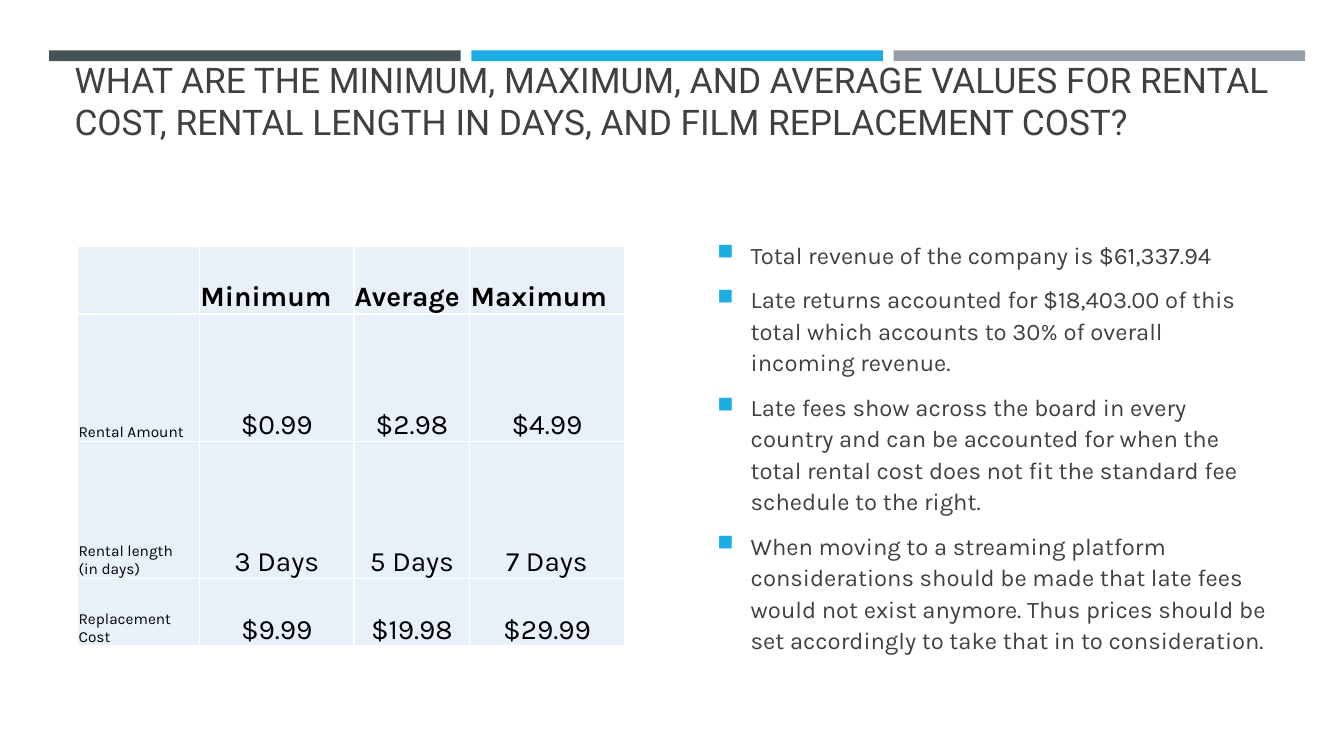
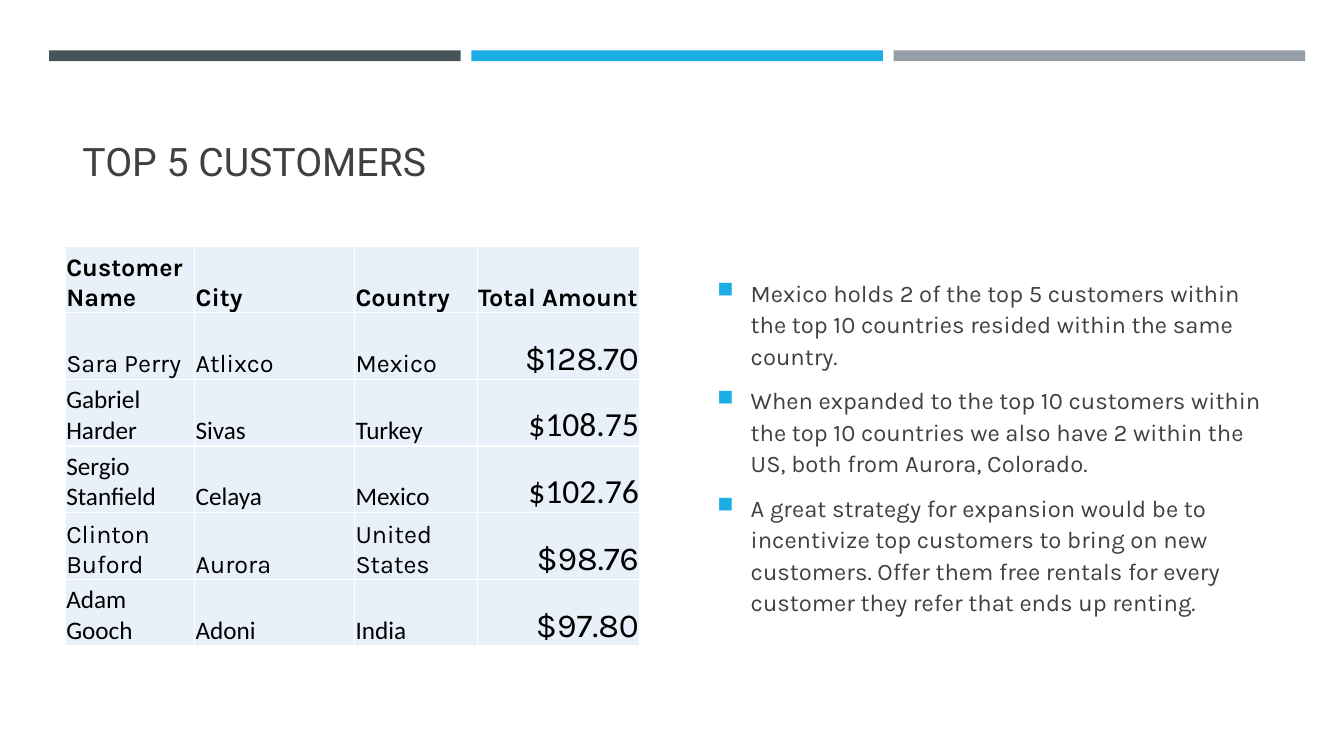
import itertools
from dataclasses import dataclass

import lxml.etree
import pptx
import pptx.dml.color
import pptx.enum.shapes
import pptx.enum.text
import pptx.oxml
import pptx.oxml.ns
import pptx.util

Cm = pptx.util.Cm
Pt = pptx.util.Pt
Align = pptx.enum.text.PP_ALIGN
Anchor = pptx.enum.text.MSO_ANCHOR


@dataclass(frozen=True)
class Theme:
    bars: tuple[str, ...] = ("465359", "1CADE4", "969FA7")
    accent: str = "1CADE4"
    text: str = "404040"
    ink: str = "000000"
    cell: str = "E8F1FA"
    rule: str = "FFFFFF"
    head: str = "Roboto"
    body: str = "Karla"
    plain: str = "Calibri"
    point: float = 17


@dataclass(frozen=True)
class Look:
    """Size and alignment of the cells in one column."""
    size: float
    align: Align = Align.LEFT


@dataclass(frozen=True)
class Grid:
    left: float
    cols: tuple[float, ...]
    rows: tuple[float, ...]
    head: float
    looks: tuple[Look, ...]
    cells: tuple[tuple[str, ...], ...]
    plain: frozenset[tuple[int, int]] = frozenset()


@dataclass(frozen=True)
class Page:
    title: str
    size: float
    left: float
    top: float
    grid: Grid
    points: tuple[str, ...]


THEME = Theme()
TOP = 6.2
HIGH = 10.08

PAGES = (
    Page(
        "WHAT ARE THE MINIMUM, MAXIMUM, AND AVERAGE VALUES FOR RENTAL COST, "
        "RENTAL LENGTH IN DAYS, AND FILM REPLACEMENT COST?",
        25.2, 1.63, 0.98,
        Grid(
            1.96, (3.07, 3.89, 2.92, 3.89), (1.71, 3.22, 3.44, 1.71), 20,
            (Look(11),) + (Look(20, Align.CENTER),) * 3,
            (
                ("", "Minimum", "Average", "Maximum"),
                ("Rental Amount", "$0.99", "$2.98", "$4.99"),
                ("Rental length\n(in days)", "3 Days", "5 Days", "7 Days"),
                ("Replacement Cost", "$9.99", "$19.98", "$29.99"),
            ),
        ),
        (
            "Total revenue of the company is $61,337.94",
            "Late returns accounted for $18,403.00 of this total which "
            "accounts to 30% of overall incoming revenue.",
            "Late fees show across the board in every country and can be "
            "accounted for when the total rental cost does not fit the "
            "standard fee schedule to the right.",
            "When moving to a streaming platform considerations should be "
            "made that late fees would not exist anymore. Thus prices should "
            "be set accordingly to take that in to consideration.",
        ),
    ),
    Page(
        "TOP 5 CUSTOMERS", 28, 1.83, 2.03,
        Grid(
            1.65, (3.26, 4.03, 3.09, 4.09), (HIGH / 6,) * 6, 18,
            (Look(18),) * 3 + (Look(24, Align.RIGHT),),
            (
                ("Customer Name", "City", "Country", "Total Amount"),
                ("Sara Perry", "Atlixco", "Mexico", "$128.70"),
                ("Gabriel Harder", "Sivas", "Turkey", "$108.75"),
                ("Sergio Stanfield", "Celaya", "Mexico", "$102.76"),
                ("Clinton Buford", "Aurora", "United States", "$98.76"),
                ("Adam Gooch", "Adoni", "India", "$97.80"),
            ),
            frozenset(itertools.product((2, 3), range(4)))
            | frozenset(itertools.product((5,), range(3))),
        ),
        (
            "Mexico holds 2 of the top 5 customers within the top 10 "
            "countries resided within the same country.",
            "When expanded to the top 10 customers within the top 10 "
            "countries we also have 2 within the US, both from Aurora, "
            "Colorado.",
            "A great strategy for expansion would be to incentivize top "
            "customers to bring on new customers. Offer them free rentals "
            "for every customer they refer that ends up renting.",
        ),
    ),
)


def tint(code: str) -> pptx.dml.color.RGBColor:
    return pptx.dml.color.RGBColor.from_string(code)


def write(para, text: str, *, size: float, font: str = THEME.body,
          color: str = THEME.text, bold: bool = False,
          align: Align = Align.LEFT) -> None:
    para.text = text
    para.alignment = align
    for run in para.runs:
        run.font.size = Pt(size)
        run.font.name = font
        run.font.bold = bold
        run.font.color.rgb = tint(color)


def child(node, tag: str, **attrs: str):
    """Append a DrawingML element and return it."""
    return lxml.etree.SubElement(node, pptx.oxml.ns.qn(tag), attrs)


def frame(slide, left: float, top: float, width: float, height: float,
          anchor: Anchor):
    box = slide.shapes.add_textbox(Cm(left), Cm(top), Cm(width), Cm(height))
    box.text_frame.word_wrap = True
    box.text_frame.vertical_anchor = anchor
    return box.text_frame


def draw_bars(slide) -> None:
    for i, color in enumerate(THEME.bars):
        bar = slide.shapes.add_shape(
            pptx.enum.shapes.MSO_SHAPE.RECTANGLE,
            Cm(1.24 + i * 10.64), Cm(1.27), Cm(10.37), Cm(0.27))
        bar.shadow.inherit = False
        bar.fill.solid()
        bar.fill.fore_color.rgb = tint(color)
        bar.line.fill.background()


def edge(cell) -> None:
    """Rule all four sides of a cell; call before the fill is set."""
    props = cell._tc.get_or_add_tcPr()
    for side in "LRTB":
        line = child(props, f"a:ln{side}", w=str(Pt(1)))
        child(child(line, "a:solidFill"), "a:srgbClr", val=THEME.rule)


def draw_grid(slide, grid: Grid) -> None:
    table = slide.shapes.add_table(
        len(grid.rows), len(grid.cols), Cm(grid.left), Cm(TOP),
        Cm(sum(grid.cols)), Cm(sum(grid.rows))).table
    table.first_row = table.horz_banding = False
    for col, width in zip(table.columns, grid.cols):
        col.width = Cm(width)
    for row, height in zip(table.rows, grid.rows):
        row.height = Cm(height)
    for r, c in itertools.product(range(len(grid.rows)),
                                  range(len(grid.cols))):
        cell, look, head = table.cell(r, c), grid.looks[c], r == 0
        edge(cell)
        cell.fill.solid()
        cell.fill.fore_color.rgb = tint(THEME.cell)
        cell.vertical_anchor = Anchor.BOTTOM
        cell.margin_left = cell.margin_right = cell.margin_top = Cm(0.02)
        cell.margin_bottom = 0
        write(cell.text_frame.paragraphs[0], grid.cells[r][c],
              size=grid.head if head else look.size,
              font=THEME.plain if (r, c) in grid.plain else THEME.body,
              color=THEME.ink, bold=head,
              align=Align.LEFT if head else look.align)


def mark(para) -> None:
    """Give a paragraph a square bullet and a hanging indent."""
    props = para._p.get_or_add_pPr()
    props.set("marL", str(Cm(0.84)))
    props.set("indent", str(-Cm(0.84)))
    child(child(props, "a:buClr"), "a:srgbClr", val=THEME.accent)
    child(props, "a:buSzPct", val="92000")
    child(props, "a:buChar", char="■")


def draw_points(slide, points: tuple[str, ...]) -> None:
    body = frame(slide, 17.83, TOP, 14.43, HIGH, Anchor.MIDDLE)
    for i, text in enumerate(points):
        para = body.add_paragraph() if i else body.paragraphs[0]
        write(para, text, size=THEME.point)
        para.line_spacing = 1.1
        para.space_before = Pt(3.4)
        para.space_after = Pt(6)
        mark(para)


def draw_page(deck, page: Page) -> None:
    slide = deck.slides.add_slide(deck.slide_layouts[6])
    draw_bars(slide)
    title = frame(slide, page.left, page.top, 30.63, 2.74, Anchor.BOTTOM)
    write(title.paragraphs[0], page.title, size=page.size, font=THEME.head)
    draw_grid(slide, page.grid)
    draw_points(slide, page.points)


def main() -> None:
    deck = pptx.Presentation()
    deck.slide_width, deck.slide_height = Cm(33.87), Cm(19.05)
    for page in PAGES:
        draw_page(deck, page)
    deck.save("out.pptx")


if __name__ == "__main__":
    main()
